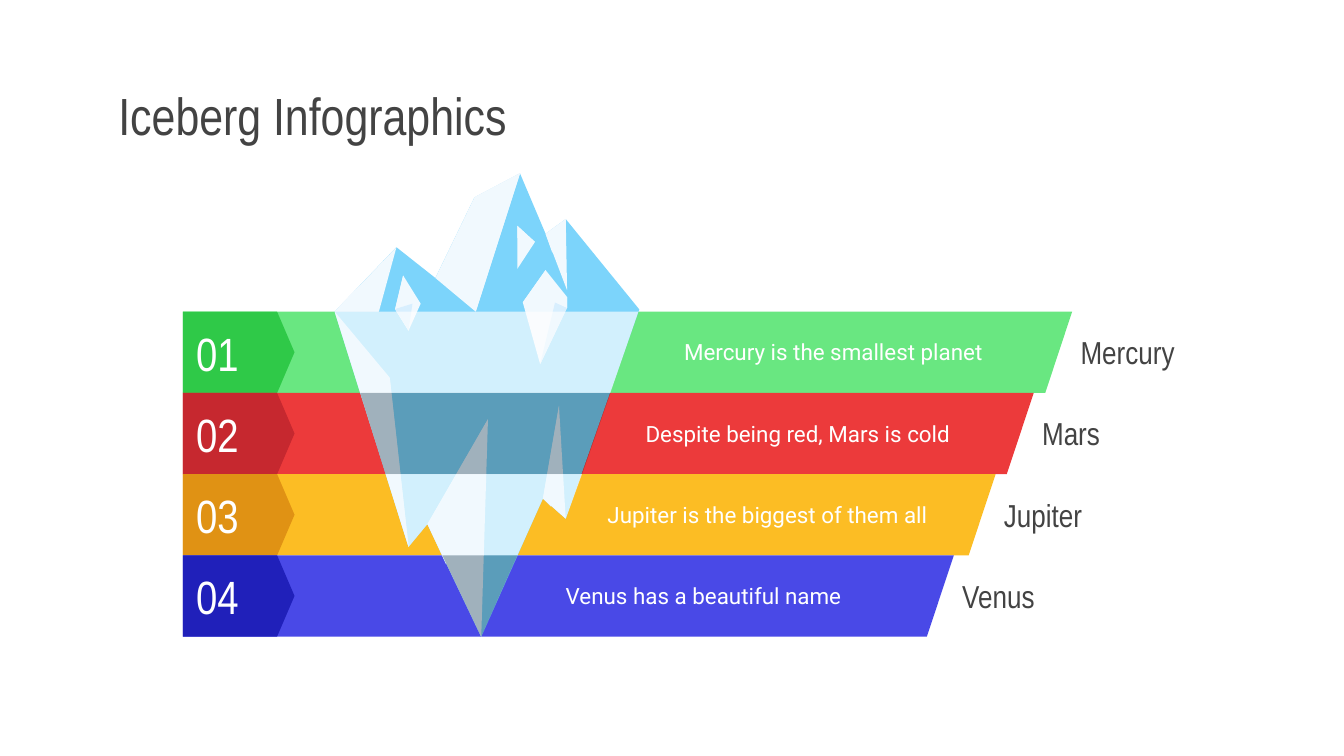
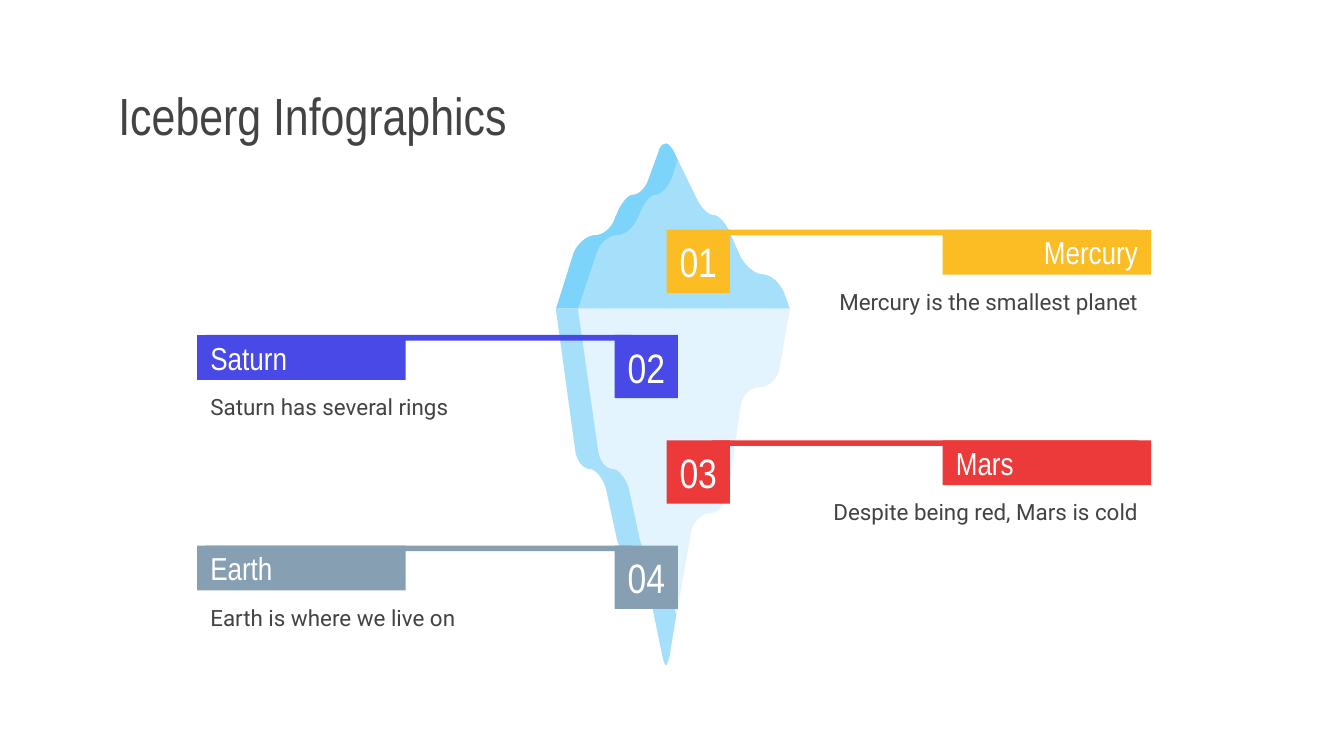
from lxml import etree
from pptx import Presentation
from pptx.dml.color import RGBColor
from pptx.enum.shapes import MSO_SHAPE
from pptx.enum.text import MSO_ANCHOR, MSO_AUTO_SIZE, PP_ALIGN
from pptx.oxml.ns import qn
from pptx.util import Pt

RECTANGLE = MSO_SHAPE.RECTANGLE
ARROW_TAG = MSO_SHAPE.PENTAGON
MIDDLE = MSO_ANCHOR.MIDDLE
NO_AUTOFIT = MSO_AUTO_SIZE.NONE
LEFT, CENTER, RIGHT = PP_ALIGN.LEFT, PP_ALIGN.CENTER, PP_ALIGN.RIGHT

HEADING_FONT = "Arial Narrow"
BODY_FONT = "Roboto"
INSET = 7.2
TITLE_LAYOUT = 5

COLORS = {
    "text": "434343", "white": "FFFFFF", "black": "000000",
    "green": "69E781", "dark green": "2FC948",
    "red": "EC3A3B", "dark red": "C6282F",
    "yellow": "FCBD24", "dark yellow": "E09214",
    "blue": "4949E7", "dark blue": "2020BA", "gray": "869FB2",
    "ice": "7CD4FB", "snow": "F1F9FE", "frost": "D8EFFE",
    "pale ice": "A5DFF9", "deep ice": "E3F4FE",
}

# Bands: colour, number, fact, planet, right end of the top edge
BANDS = [
    ("green", "01", "Mercury is the smallest planet", "Mercury", 574.4),
    ("red", "02", "Despite being red, Mars is cold", "Mars", 553.8),
    ("yellow", "03", "Jupiter is the biggest of them all", "Jupiter", 533.4),
    ("blue", "04", "Venus has a beautiful name", "Venus", 511),
]
BAND_LEFT, BAND_TOP, BAND_HEIGHT, BAND_SLANT = 98, 167, 43.5, 14.4
TAG_WIDTH, TAG_POINT = 59.8, 9.3

# Corners of the faceted iceberg
CORNERS = {
    "peak": (278.6, 92.9), "shoulder": (254.2, 105.8), "saddle": (233.3, 149),
    "left peak": (212.4, 132.5), "left shore": (179.3, 167),
    "left tip": (218.9, 293), "left notch": (229, 280.8),
    "bottom": (257.8, 341.2), "right notch": (290.9, 267.1),
    "right tip": (303.1, 277.9), "right shore": (342.5, 165.8),
    "right peak": (303.1, 117.4), "pass": (292.3, 125.3),
    "middle shore": (254.9, 167), "inner shore": (203, 167),
    "gully": (303.8, 155.5), "left slope": (190.8, 154.8),
    "pass foot": (295.9, 135.4), "shoulder foot": (254.2, 128.9),
    "middle spike": (261.4, 224.6), "right spike": (299.5, 217.4),
    "left bend": (208.8, 202.3), "left wall": (204.5, 246.2),
    "middle edge": (239, 302.4), "right edge": (295.2, 271.4),
    "flake top": (277.2, 121), "flake bottom": (277.2, 144),
    "flake right": (286.6, 129.6), "flake left": (277.2, 127.4),
    "crystal top": (292.3, 144.7), "crystal left": (280.1, 162),
    "crystal bottom": (289.4, 195.1), "crystal right": (303.8, 164.9),
    "crystal upper right": (303.8, 159.1), "crystal ridge": (295.2, 157.7),
    "crystal middle": (297.4, 162),
    "gem top": (216, 147.6), "gem left": (211.7, 165.6),
    "gem bottom": (218.9, 177.1), "gem right": (225.4, 162.7),
    "gem middle": (221, 162.7),
    "left 1": (193, 210.5), "right 1": (327, 210.5),
    "left 2": (206.6, 254), "right 2": (311.8, 254),
    "left 3": (237, 297.5), "right 3": (277.2, 297.5),
    "waterline right": (342, 167),
}
FACETS = [
    ("ice", "peak, shoulder, saddle, left peak, left shore, left tip, left notch, "
            "bottom, right notch, right tip, right shore, right peak, pass"),
    ("snow", "peak, shoulder, saddle, middle shore"),
    ("snow", "peak, shoulder, middle shore"),
    ("snow", "left peak, left shore, inner shore"),
    ("snow", "right peak, pass, gully"),
    ("snow", "left slope, left shore, inner shore"),
    ("snow", "right peak, pass, pass foot"),
    ("snow", "peak, shoulder, shoulder foot"),
    ("frost", "middle spike, left notch, bottom"),
    ("frost", "right spike, right notch, right tip"),
    ("frost", "left shore, left tip, left bend"),
    ("frost", "left bend, left wall, left tip"),
    ("frost", "middle spike, left notch, middle edge"),
    ("frost", "right spike, right notch, right edge"),
    ("snow", "flake top, flake bottom, flake right"),
    ("snow", "flake top, flake left, flake right"),
    ("snow", "crystal top, crystal left, crystal bottom, crystal right, crystal upper right"),
    ("snow", "crystal top, crystal left, crystal ridge"),
    ("frost", "crystal middle, crystal bottom, crystal right"),
    ("snow", "crystal upper right, crystal middle, crystal right"),
    ("snow", "gem top, gem left, gem bottom, gem right"),
    ("snow", "gem top, gem left, gem bottom, gem middle"),
    ("frost", "gem middle, gem left, gem bottom"),
]
WATER_LAYERS = [
    ("white", 66, "left shore, left 1, right 1, waterline right"),
    ("black", 26, "left 1, left 2, right 2, right 1"),
    ("white", 66, "left 2, left tip, left notch, left 3, right 3, "
                  "right notch, right tip, right 2"),
    ("black", 26, "left 3, bottom, right 3"),
]

# Edges of the rounded iceberg: pairs are corners, sixes are Bezier curves
TOP_LEFT = [
    (357.1, 77), (355, 77, 353.5, 78.5, 352.8, 81.4), (347.8, 95),
    (346.3, 100.8, 342, 104.4, 339.1, 104.4),
    (336.2, 104.4, 332.6, 109.4, 330.5, 114.5), (329.8, 115.9),
    (328.3, 121.7, 323.3, 126, 319, 126),
    (314.6, 126, 309.6, 130.3, 307.4, 135.4), (298.1, 164.9), (297.8, 165.4),
]
TOP_RIGHT = [
    (423.2, 165.4), (419.8, 156.2), (417.6, 151.2, 412.6, 146.9, 408.2, 146.9),
    (404.6, 146.9, 399.6, 142.6, 396.7, 137.5), (391, 124.6),
    (388.8, 119.5, 385.2, 115.2, 382.3, 115.2),
    (379.4, 115.2, 375.1, 110.9, 373, 105.8), (360.7, 80.6),
    (359.3, 78.5, 357.8, 77, 357.1, 77),
]
TOP_INNER = [
    (309.6, 165.4), (319.7, 135.4), (321.1, 130.3, 326.2, 126, 330.5, 126),
    (334.8, 126, 339.8, 121.7, 342, 115.9), (342.7, 114.5),
    (344.2, 109.4, 348.5, 104.4, 350.6, 104.4),
    (353.5, 104.4, 357.8, 100.8, 360, 95), (362.9, 85.7),
]
LOWER_LEFT = [
    (297.8, 165.4), (308.2, 241.2), (308.9, 247, 312.5, 251.3, 316.1, 251.3),
    (319, 251.3, 323.3, 256.3, 324.7, 262.1), (330.5, 288.7),
    (331.9, 294.5, 335.5, 299.5, 338.4, 299.5),
    (342, 299.5, 345.6, 303.8, 346.3, 309.6), (355, 352.1),
    (355.7, 355, 356.4, 356.4, 356.8, 356.4),
    (357.1, 356.4, 357.8, 355, 358.6, 352.1),
]
LOWER_RIGHT = [
    (370.1, 285.8), (370.8, 280.1, 375.8, 275, 380.2, 275),
    (384.5, 275, 388.8, 270, 390.2, 264.2), (396.7, 218.2),
    (397.4, 212.4, 401.8, 207.4, 406.8, 207.4), (407.5, 207.4),
    (411.8, 207.4, 416.9, 203, 417.6, 197.3), (423.2, 165.4),
]
LOWER_INNER = [
    (362.2, 329.8), (358.6, 309.6), (357.8, 303.8, 354.2, 299.5, 350.6, 299.5),
    (347.8, 299.5, 344.2, 294.5, 342.7, 288.7), (337, 262.1),
    (335.5, 256.3, 331.2, 251.3, 328.3, 251.3),
    (324.7, 251.3, 321.1, 247, 320.4, 241.2), (309.6, 165.4),
]
ROUNDED_PARTS = [
    ("pale ice", TOP_LEFT + TOP_RIGHT),
    ("ice", TOP_LEFT + TOP_INNER + TOP_RIGHT[-2:]),
    ("deep ice", LOWER_LEFT + LOWER_RIGHT),
    ("pale ice", LOWER_LEFT + LOWER_INNER),
]

# Callouts: colour, number, planet, fact, side, heading alignment
CALLOUTS = [
    ("yellow", "01", "Mercury", "Mercury is the smallest planet", "right", RIGHT),
    ("blue", "02", "Saturn", "Saturn has several rings", "left", LEFT),
    ("red", "03", "Mars", "Despite being red, Mars is cold", "right", LEFT),
    ("gray", "04", "Earth", "Earth is where we live on", "left", LEFT),
]
CALLOUT_TOP, CALLOUT_STEP = 123.1, 56.4
# Left ends of rod, heading, badge and fact, then the alignment of the fact
SIDES = {
    "left": (110.2, 105.6, 329.3, 105.6, LEFT),
    "right": (381.6, 505, 357.1, 434.8, RIGHT),
}


def paint(shape, color, opacity=100):
    shape.shadow.inherit = False
    shape.fill.solid()
    shape.fill.fore_color.rgb = RGBColor.from_string(COLORS[color])
    shape.line.fill.background()
    if opacity < 100:
        color_element = shape._element.spPr.find(".//" + qn("a:srgbClr"))
        etree.SubElement(color_element, qn("a:alpha")).set("val", str(opacity * 1000))


def write(shape, text, size, font, color, alignment=LEFT, side_inset=INSET):
    frame = shape.text_frame
    frame.word_wrap = True
    frame.auto_size = NO_AUTOFIT
    frame.vertical_anchor = MIDDLE
    frame.margin_left = frame.margin_right = Pt(side_inset)
    frame.margin_top = frame.margin_bottom = Pt(INSET)
    frame.text = text
    paragraph = frame.paragraphs[0]
    paragraph.alignment = alignment
    paragraph.font.size = Pt(size)
    paragraph.font.name = font
    paragraph.font.color.rgb = RGBColor.from_string(COLORS[color])


def add_text(shapes, left, top, width, *text_style):
    box = shapes.add_textbox(Pt(left), Pt(top), Pt(width), Pt(28.8))
    write(box, *text_style)


def add_block(shapes, preset, left, top, width, height, color):
    shape = shapes.add_shape(preset, Pt(left), Pt(top), Pt(width), Pt(height))
    paint(shape, color)
    return shape


def add_outline(shapes, points, color, opacity=100):
    start, *others = [(Pt(x), Pt(y)) for x, y in points]
    builder = shapes.build_freeform(*start)
    builder.add_line_segments(others)
    paint(builder.convert_to_shape(), color, opacity)


def corner_points(names):
    return [CORNERS[name] for name in names.split(", ")]


def flatten(edge, steps=10):
    """Turn corners and Bezier curves into a list of points."""
    points = []
    for part in edge:
        if len(part) == 2:
            points.append(part)
            continue
        controls = [points[-1], part[:2], part[2:4], part[4:]]
        for step in range(1, steps + 1):
            t = step / steps
            weights = ((1 - t) ** 3, 3 * t * (1 - t) ** 2, 3 * t * t * (1 - t), t ** 3)
            points.append(tuple(
                sum(weight * control[axis] for weight, control in zip(weights, controls))
                for axis in (0, 1)))
    return points


def add_titled_slide(presentation):
    slide = presentation.slides.add_slide(presentation.slide_layouts[TITLE_LAYOUT])
    title = slide.shapes.title
    title.left, title.top, title.width, title.height = Pt(56.2), Pt(42.5), Pt(608.4), Pt(38.2)
    write(title, "Iceberg Infographics", 28, HEADING_FONT, "text")
    return slide


def add_band(shapes, index, color, number, fact, planet, right):
    top = BAND_TOP + index * BAND_HEIGHT
    bottom = top + BAND_HEIGHT
    add_outline(shapes, [(BAND_LEFT, top), (BAND_LEFT, bottom),
                         (right - BAND_SLANT, bottom), (right, top)], color)
    tag = add_block(shapes, ARROW_TAG, BAND_LEFT, top, TAG_WIDTH, BAND_HEIGHT, "dark " + color)
    tag.adjustments[0] = TAG_POINT / BAND_HEIGHT
    write(tag, number, 25, HEADING_FONT, "white")
    add_text(shapes, right - 215, top + 7.2, 196.6, fact, 12, BODY_FONT, "white")
    add_text(shapes, right - 2.6, top + 7.2, 105, planet, 17, HEADING_FONT, "text")


def add_callout(shapes, index, color, number, planet, fact, side, alignment):
    rod_left, heading_left, badge_left, fact_left, fact_alignment = SIDES[side]
    top = CALLOUT_TOP + index * CALLOUT_STEP
    add_block(shapes, RECTANGLE, rod_left, top, 228.2, 3, color)
    heading = add_block(shapes, RECTANGLE, heading_left, top, 111.8, 24, color)
    write(heading, planet, 17, HEADING_FONT, "white", alignment)
    badge = add_block(shapes, RECTANGLE, badge_left, top, 33.9, 33.9, color)
    write(badge, number, 22, HEADING_FONT, "white", CENTER, 0)
    add_text(shapes, fact_left, top + 24, 182, fact, 12, BODY_FONT, "text", fact_alignment)


def main():
    presentation = Presentation()
    presentation.slide_width, presentation.slide_height = Pt(720), Pt(405)

    # Faceted iceberg over four bands
    slide = add_titled_slide(presentation)
    for index, band in enumerate(BANDS):
        add_band(slide.shapes.add_group_shape().shapes, index, *band)
    iceberg = slide.shapes.add_group_shape().shapes
    for color, names in FACETS:
        add_outline(iceberg, corner_points(names), color)
    water = slide.shapes.add_group_shape().shapes
    for color, opacity, names in WATER_LAYERS:
        add_outline(water, corner_points(names), color, opacity)

    # Rounded iceberg with callouts on both sides
    slide = add_titled_slide(presentation)
    iceberg = slide.shapes.add_group_shape().shapes
    for color, edge in ROUNDED_PARTS:
        add_outline(iceberg, flatten(edge), color)
    for index, callout in enumerate(CALLOUTS):
        add_callout(slide.shapes.add_group_shape().shapes, index, *callout)

    presentation.save("out.pptx")


if __name__ == "__main__":
    main()
